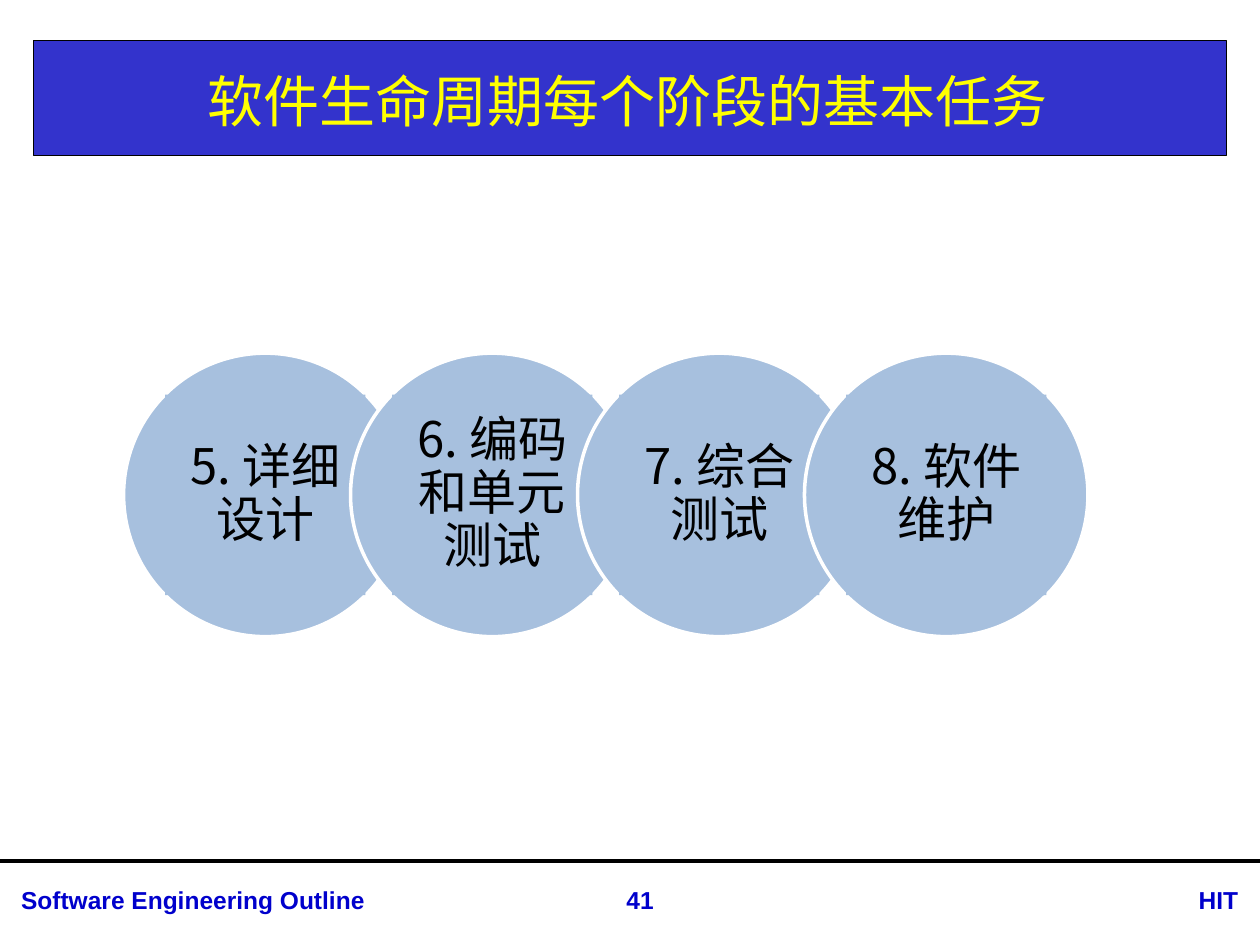
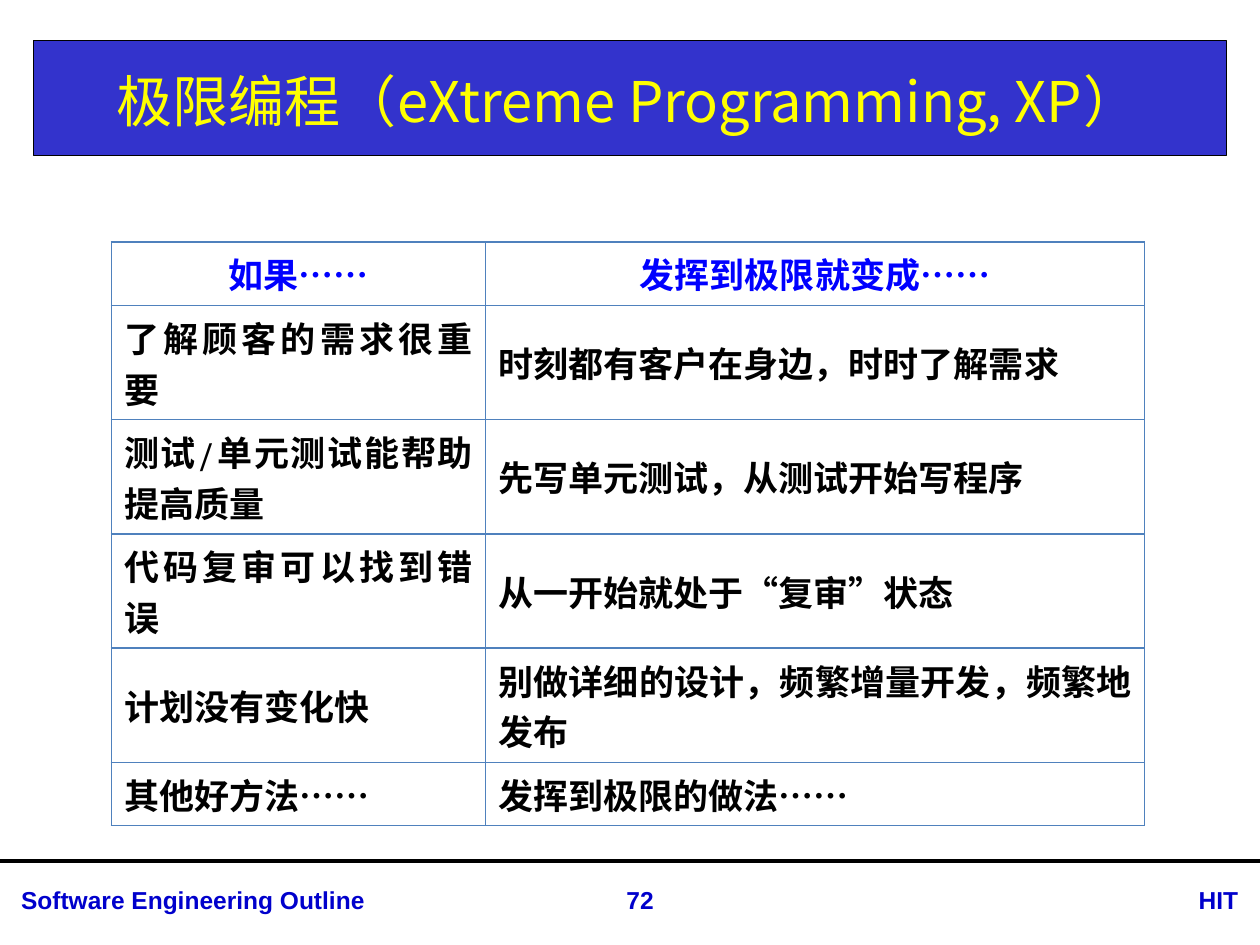
from dataclasses import dataclass

from lxml import etree
from pptx import Presentation
from pptx.dml.color import RGBColor
from pptx.enum.shapes import MSO_CONNECTOR, MSO_SHAPE
from pptx.enum.text import MSO_ANCHOR, MSO_AUTO_SIZE, PP_ALIGN
from pptx.oxml.ns import qn
from pptx.util import Pt

LEFT, CENTER, RIGHT, JUSTIFY = PP_ALIGN.LEFT, PP_ALIGN.CENTER, PP_ALIGN.RIGHT, PP_ALIGN.JUSTIFY
MIDDLE = MSO_ANCHOR.MIDDLE
RECTANGLE, OVAL = MSO_SHAPE.RECTANGLE, MSO_SHAPE.OVAL
STRAIGHT = MSO_CONNECTOR.STRAIGHT
TITLE_ONLY = 5


@dataclass(frozen=True)
class Theme:
    band: str = "3333CC"
    title: str = "FFFF00"
    footer: str = "0000CC"
    header: str = "0000FF"
    circle: str = "A7C0DE"
    border: str = "4F81BD"
    black: str = "000000"
    white: str = "FFFFFF"
    title_size: float = 32
    circle_size: float = 28
    table_size: float = 20
    footer_size: float = 14
    cjk_font: str = "Noto Sans CJK SC"
    footer_font: str = "Arial"
    table_font: str = "TeX Gyre Pagella"


def rgb(color):
    return RGBColor.from_string(color)


def write(frame, text, *, size, color, font, east_asian_font=Theme.cjk_font, bold=False,
          align=LEFT, line_spacing=None, space_after=None):
    para = frame.paragraphs[0]
    para.alignment = align
    para.line_spacing = line_spacing
    if space_after is not None:
        para.space_after = Pt(space_after)
    span = para.add_run()
    span.text = text
    span.font.size = Pt(size)
    span.font.bold = bold
    span.font.color.rgb = rgb(color)
    span.font.name = font
    etree.SubElement(span.font._element, qn("a:ea"), typeface=east_asian_font)


def set_borders(cell, color, width):
    properties = cell._tc.get_or_add_tcPr()
    for side in ("lnL", "lnR", "lnT", "lnB"):
        line = etree.SubElement(properties, qn(f"a:{side}"), w=str(Pt(width)))
        fill = etree.SubElement(line, qn("a:solidFill"))
        etree.SubElement(fill, qn("a:srgbClr"), val=color)


class SlideBuilder:
    def __init__(self, deck, theme):
        self.deck = deck
        self.theme = theme
        self.page = None

    def new_page(self, title, number):
        """Start a slide with the shared band, title, rule and footer."""
        theme = self.theme
        self.page = self.deck.slides.add_slide(self.deck.slide_layouts[TITLE_ONLY])
        self.shape(self.page.shapes, RECTANGLE, 19, 23.3, 681.8, 65.5,
                   fill=theme.band, line=theme.black, width=0.75)
        self.rule(491.8)
        self.footer("Software Engineering Outline", 5, 277, LEFT)
        self.footer("HIT", 640.5, 74.2, RIGHT)
        self.footer(str(number), 328.7, 74.2, CENTER)
        self.title(title)

    def title(self, text):
        box = self.page.shapes.title
        box.left, box.top, box.width, box.height = Pt(18.7), Pt(25.9), Pt(680.4), Pt(62.6)
        # Moves the placeholder in front of the band
        self.page.shapes._spTree.append(box._element)
        frame = box.text_frame
        frame.auto_size = MSO_AUTO_SIZE.NONE
        frame.vertical_anchor = MIDDLE
        write(frame, text, size=self.theme.title_size, color=self.theme.title,
              font=self.theme.cjk_font, align=CENTER)

    def shape(self, shapes, kind, left, top, width_, height, *, fill, line=None, width=1):
        shape = shapes.add_shape(kind, Pt(left), Pt(top), Pt(width_), Pt(height))
        shape.shadow.inherit = False
        shape.fill.solid()
        shape.fill.fore_color.rgb = rgb(fill)
        if line:
            shape.line.color.rgb = rgb(line)
            shape.line.width = Pt(width)
        else:
            shape.line.fill.background()
        return shape

    def rule(self, top):
        line = self.page.shapes.add_connector(
            STRAIGHT, 0, Pt(top), self.deck.slide_width, Pt(top))
        line.line.color.rgb = rgb(self.theme.black)
        line.line.width = Pt(2.25)
        etree.SubElement(line._element.spPr, qn("a:effectLst"))

    def footer(self, text, left, width, align):
        box = self.page.shapes.add_textbox(Pt(left), Pt(502.2), Pt(width), Pt(24.5))
        box.text_frame.word_wrap = True
        write(box.text_frame, text, size=self.theme.footer_size, color=self.theme.footer,
              font=self.theme.footer_font, bold=True, align=align)

    def circle(self, text, left, top, diameter, inset):
        """Draw a circle whose label sits in the square inscribed in it."""
        theme = self.theme
        group = self.page.shapes.add_group_shape()
        self.shape(group.shapes, OVAL, left, top, diameter, diameter,
                   fill=theme.circle, line=theme.white, width=2)
        side = diameter - 2 * inset
        label = self.shape(group.shapes, RECTANGLE, left + inset, top + inset, side, side,
                           fill=theme.circle)
        frame = label.text_frame
        frame.word_wrap = True
        frame.vertical_anchor = MIDDLE
        frame.margin_left = frame.margin_right = Pt(8.9)
        frame.margin_top = frame.margin_bottom = Pt(2.8)
        write(frame, text, size=theme.circle_size, color=theme.black, font=theme.cjk_font,
              align=CENTER, line_spacing=0.9, space_after=9.8)

    def table(self, rows, left, top, column_widths, row_heights):
        theme = self.theme
        table = self.page.shapes.add_table(
            len(rows), len(column_widths), Pt(left), Pt(top),
            Pt(sum(column_widths)), Pt(sum(row_heights))).table
        table.first_row = table.horz_banding = False
        for column, width in zip(table.columns, column_widths):
            column.width = Pt(width)
        for row_index, (texts, height) in enumerate(zip(rows, row_heights)):
            table.rows[row_index].height = Pt(height)
            is_header = row_index == 0
            for column_index, text in enumerate(texts):
                cell = table.cell(row_index, column_index)
                set_borders(cell, theme.border, 1)
                cell.fill.background()
                cell.vertical_anchor = MIDDLE
                write(cell.text_frame, text, size=theme.table_size,
                      color=theme.header if is_header else theme.black,
                      font=theme.table_font, bold=True,
                      align=CENTER if is_header else JUSTIFY)


def add_phases(slides):
    slides.new_page("软件生命周期每个阶段的基本任务", 41)
    phases = ["5. 详细设计", "6. 编码和单元测试", "7. 综合测试", "8. 软件维护"]
    for index, phase in enumerate(phases):
        slides.circle(phase, 70.6 + index * 129.7, 201.8, diameter=162, inset=23.75)


def add_extreme_programming(slides):
    slides.new_page("极限编程（eXtreme Programming, XP）", 72)
    practices = [
        ("如果……", "发挥到极限就变成……"),
        ("了解顾客的需求很重要", "时刻都有客户在身边，时时了解需求"),
        ("测试/单元测试能帮助提高质量", "先写单元测试，从测试开始写程序"),
        ("代码复审可以找到错误", "从一开始就处于“复审”状态"),
        ("计划没有变化快", "别做详细的设计，频繁增量开发，频繁地发布"),
        ("其他好方法……", "发挥到极限的做法……"),
    ]
    slides.table(practices, 63.7, 138.2, column_widths=[213.8, 376.6],
                 row_heights=[35.3, 35.3, 35.3, 35.3, 61.2, 35.3])


def main():
    deck = Presentation()
    deck.slide_width, deck.slide_height = Pt(720), Pt(540)
    slides = SlideBuilder(deck, Theme())
    add_phases(slides)
    add_extreme_programming(slides)
    deck.save("out.pptx")


if __name__ == "__main__":
    main()
